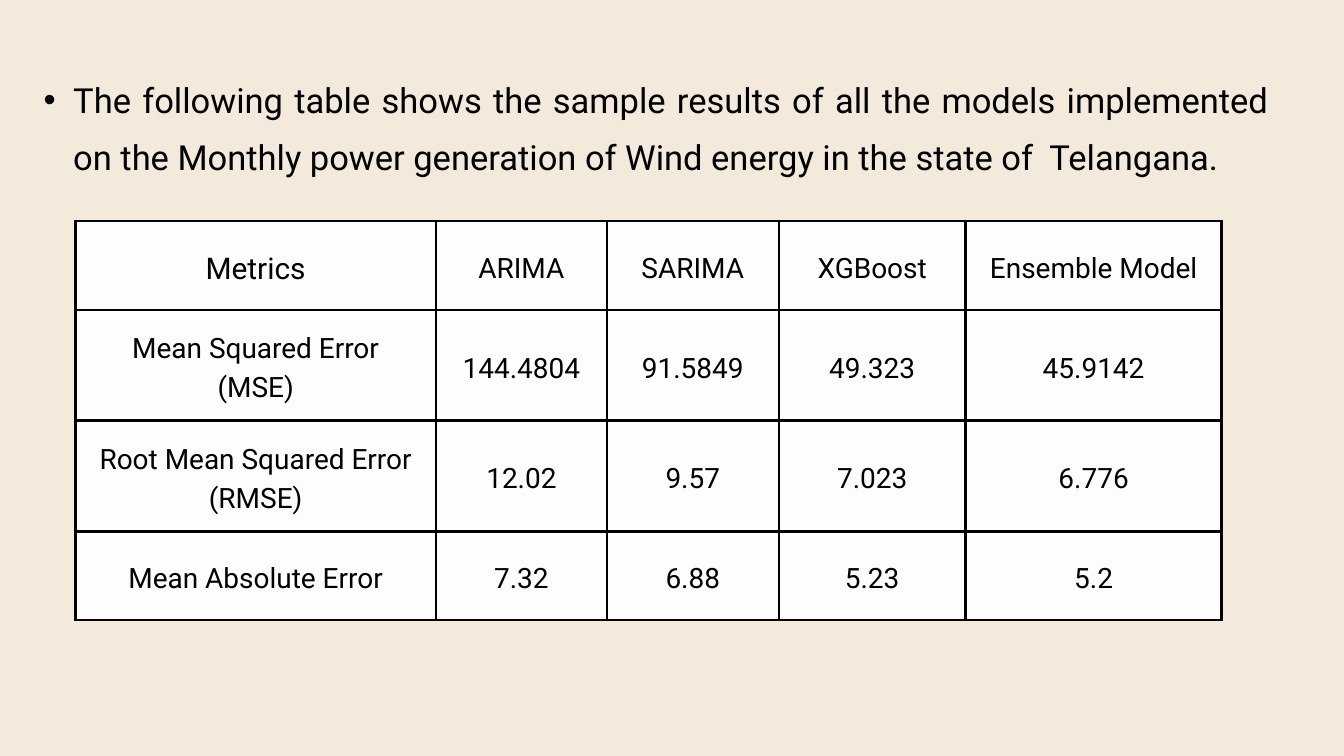
from lxml import etree
from pptx import Presentation
from pptx.dml.color import RGBColor
from pptx.enum.text import MSO_ANCHOR, PP_ALIGN
from pptx.oxml.ns import qn
from pptx.util import Inches, Pt

CENTER, JUSTIFY = PP_ALIGN.CENTER, PP_ALIGN.JUSTIFY
MIDDLE = MSO_ANCHOR.MIDDLE

CREAM = RGBColor(0xF4, 0xEA, 0xDB)
OFF_WHITE = RGBColor(0xFD, 0xFD, 0xFD)
BLACK = RGBColor(0, 0, 0)
FONT = "Roboto"

INTRO = ("The following table shows the sample results of all the models "
         "implemented on the Monthly power generation of Wind energy in the "
         "state of  Telangana.")
RESULTS = [
    ("Metrics", "ARIMA", "SARIMA", "XGBoost", "Ensemble Model"),
    ("Mean Squared Error\n(MSE)", "144.4804", "91.5849", "49.323", "45.9142"),
    ("Root Mean Squared Error\n(RMSE)", "12.02", "9.57", "7.023", "6.776"),
    ("Mean Absolute Error", "7.32", "6.88", "5.23", "5.2"),
]
COLUMN_WIDTHS = (5.37, 2.54, 2.56, 2.78, 3.81)
ROW_HEIGHTS = (1.32, 1.65, 1.65, 1.32)
CELL_MARGIN = Inches(0.21)
BORDER_WIDTH = Pt(3)
CORNER_SIZE, CELL_SIZE, INTRO_SIZE = 32, 30, 37
CELL_SPACING, INTRO_SPACING = 1.4, 1.66  # line pitch as a multiple of text size


def write_paragraph(paragraph, text, size, spacing, alignment):
    paragraph.alignment = alignment
    paragraph.line_spacing = Pt(round(size * spacing, 1))
    run = paragraph.add_run()
    run.text = text
    run.font.name = FONT
    run.font.size = Pt(size)
    run.font.color.rgb = BLACK


def add_borders(cell):
    properties = cell._tc.get_or_add_tcPr()
    for side in ("lnL", "lnR", "lnT", "lnB"):
        line = etree.SubElement(properties, qn(f"a:{side}"), w=str(BORDER_WIDTH))
        fill = etree.SubElement(line, qn("a:solidFill"))
        etree.SubElement(fill, qn("a:srgbClr"), val=str(BLACK))


def fill_cell(cell, text, size):
    add_borders(cell)
    cell.fill.solid()
    cell.fill.fore_color.rgb = OFF_WHITE
    cell.vertical_anchor = MIDDLE
    cell.margin_left = cell.margin_right = CELL_MARGIN
    cell.margin_top = cell.margin_bottom = CELL_MARGIN
    frame = cell.text_frame
    for index, line in enumerate(text.split("\n")):
        paragraph = frame.add_paragraph() if index else frame.paragraphs[0]
        write_paragraph(paragraph, line, size, CELL_SPACING, CENTER)


def add_results_table(slide):
    table = slide.shapes.add_table(
        len(RESULTS), len(COLUMN_WIDTHS), Inches(1.12), Inches(3.29),
        Inches(sum(COLUMN_WIDTHS)), Inches(sum(ROW_HEIGHTS))).table
    for column, width in zip(table.columns, COLUMN_WIDTHS):
        column.width = Inches(width)
    for row, height in zip(table.rows, ROW_HEIGHTS):
        row.height = Inches(height)
    for row_index, values in enumerate(RESULTS):
        for column_index, text in enumerate(values):
            is_corner = row_index == column_index == 0
            fill_cell(table.cell(row_index, column_index), text,
                      CORNER_SIZE if is_corner else CELL_SIZE)


def add_intro(slide):
    frame = slide.shapes.add_textbox(
        Inches(0.22), Inches(0.94), Inches(18.66), Inches(1.64)).text_frame
    frame.word_wrap = True
    frame.margin_left = frame.margin_right = 0
    frame.margin_top = frame.margin_bottom = 0
    paragraph = frame.paragraphs[0]
    write_paragraph(paragraph, INTRO, INTRO_SIZE, INTRO_SPACING, JUSTIFY)
    paragraph.level = 1
    properties = paragraph._p.get_or_add_pPr()
    properties.set("marL", str(Inches(0.87)))
    properties.set("indent", str(Inches(-0.44)))
    etree.SubElement(properties, qn("a:buFont"), typeface="Arial")
    etree.SubElement(properties, qn("a:buChar"), char="•")


def main():
    presentation = Presentation()
    presentation.slide_width = Inches(20)
    presentation.slide_height = Inches(11.25)
    blank_layout = presentation.slide_layouts[6]
    slide = presentation.slides.add_slide(blank_layout)
    slide.background.fill.solid()
    slide.background.fill.fore_color.rgb = CREAM
    add_results_table(slide)
    add_intro(slide)
    presentation.save("out.pptx")


if __name__ == "__main__":
    main()
